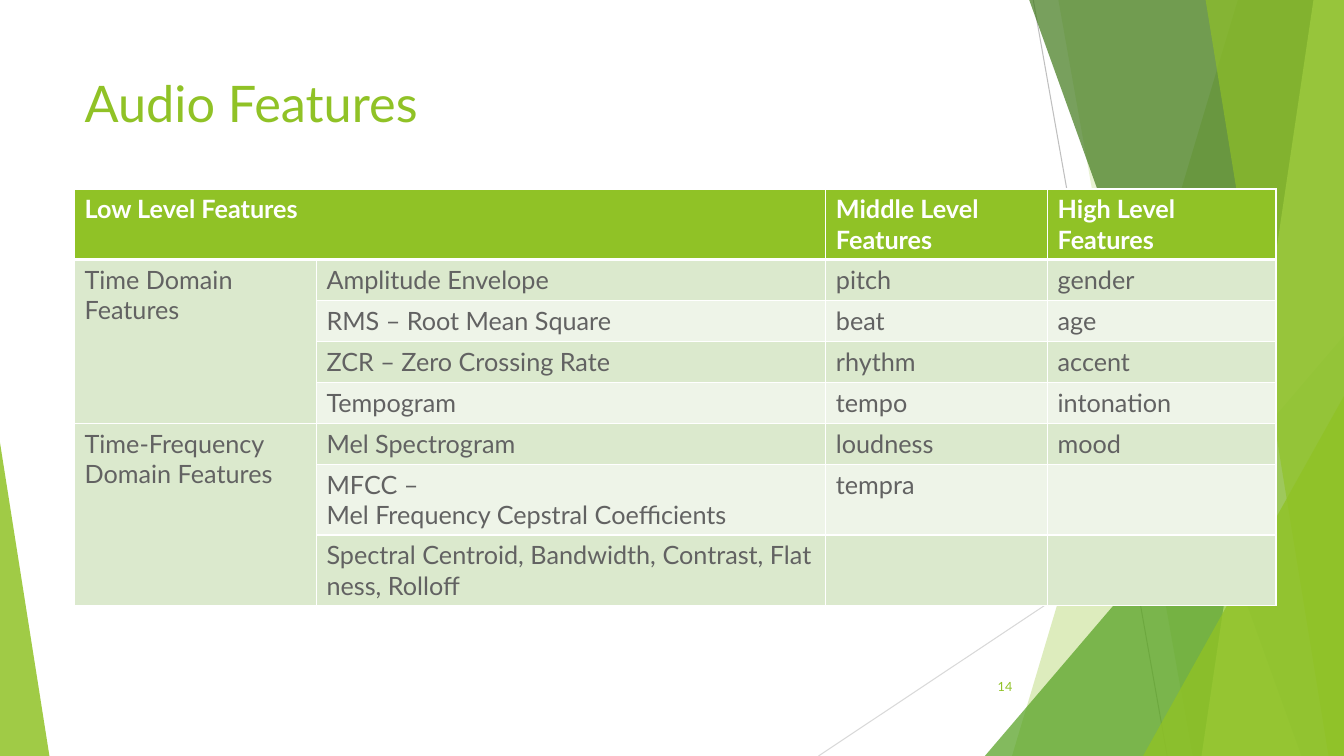
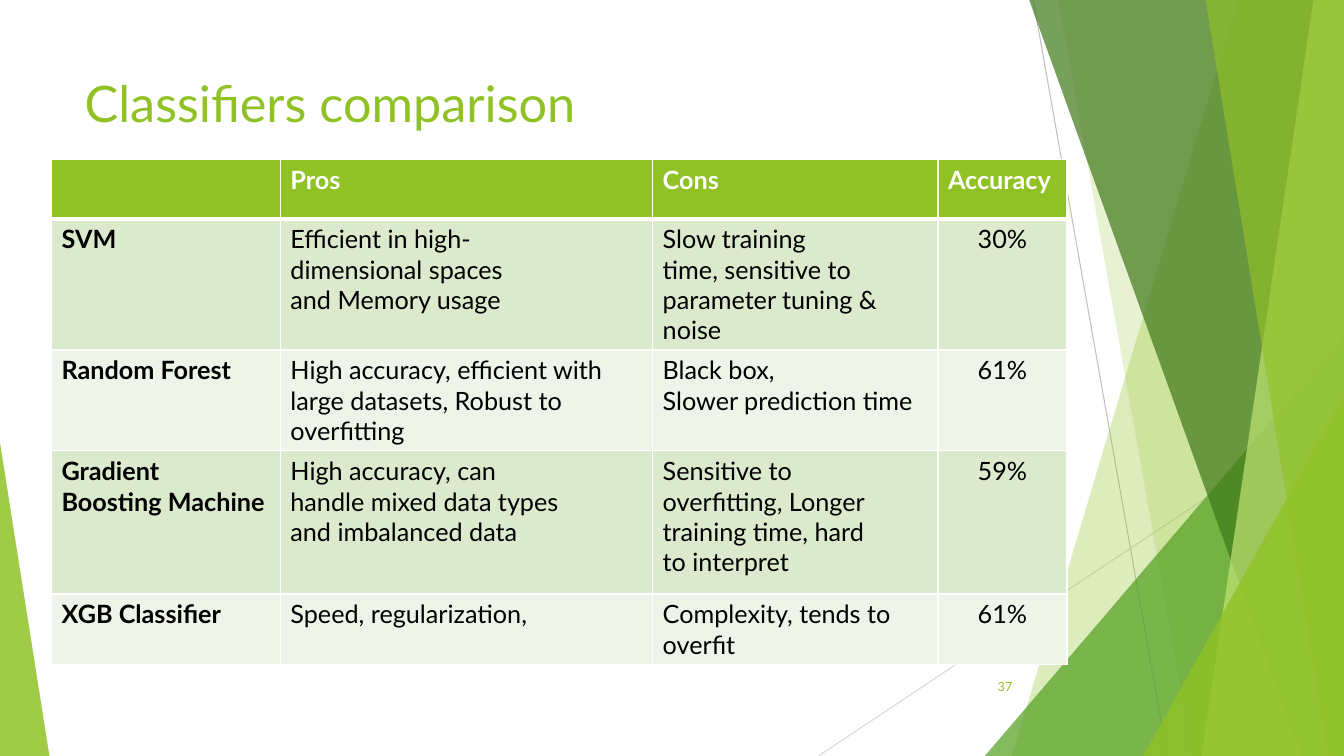
from lxml.etree import SubElement
from pptx import Presentation
from pptx.dml.color import RGBColor
from pptx.enum.shapes import MSO_CONNECTOR as Connector, MSO_SHAPE as Shape
from pptx.enum.text import MSO_ANCHOR as Anchor, MSO_AUTO_SIZE as AutoSize, PP_ALIGN as Align
from pptx.oxml.ns import qn
from pptx.util import Inches, Pt

WIDTH, HEIGHT = Inches(13.33), Inches(7.5)
FONT = "Lato"
GLUE, NO_BREAK_SPACE = "~", chr(160)
LIME = RGBColor(0x90, 0xC2, 0x26)
PALE_LIME = RGBColor(0xC0, 0xE4, 0x74)
GREEN = RGBColor(0x54, 0xA0, 0x21)
FOREST = RGBColor(0x3F, 0x78, 0x19)
SILVER = RGBColor(0xBF, 0xBF, 0xBF)
MIST = RGBColor(0xD9, 0xD9, 0xD9)
WHITE = RGBColor(0xFF, 0xFF, 0xFF)
BLACK = RGBColor(0, 0, 0)
GRAY = RGBColor(0x62, 0x62, 0x62)
BANDS = (RGBColor(0xEE, 0xF4, 0xE8), RGBColor(0xDB, 0xE9, 0xCD))

RAYS = [
    (76.88, 0, 86.85, 100, SILVER),
    (100, 53.73, 60.9, 100, MIST),
]
FACETS = [
    (92.1, 75.3, LIME, 30),
    (78.75, 88.73, LIME, 20),
    (73.28, 44.4, 26.72, 1, GREEN, 72),
    (76.58, 96.83, FOREST, 70),
    (97.73, 89.4, PALE_LIME, 70),
    (89.7, 98.85, LIME, 65),
    (85.05, 52.4, 14.95, 1, LIME, 80),
    (0, 58.53, 3.68, 0, LIME, 85),
]

FEATURES = [
    ["Low Level Features", "", "Middle Level Features", "High Level Features"],
    ["Time Domain Features", "Amplitude Envelope", "pitch", "gender"],
    ["", "RMS – Root Mean Square", "beat", "age"],
    ["", "ZCR – Zero Crossing Rate", "rhythm", "accent"],
    ["", "Tempogram", "tempo", "intonation"],
    ["Time-Frequency Domain Features", "Mel Spectrogram", "loudness", "mood"],
    ["", "MFCC – Mel~Frequency~Cepstral~Coefficients", "tempra", ""],
    ["", "Spectral~Centroid,~Bandwidth,~Contrast,~Flatness, Rolloff", "", ""],
]
CLASSIFIERS = [
    ["", "Pros", "Cons", "Accuracy"],
    ["SVM", "Efficient in high-dimensional~spaces and~Memory usage",
     "Slow training time,~sensitive~to parameter tuning & noise", "30%"],
    ["Random Forest", "High accuracy, efficient~with large datasets,~Robust to overfitting",
     "Black box, Slower~prediction time", "61%"],
    ["Gradient Boosting~Machine", "High accuracy, can handle~mixed data types and~imbalanced data",
     "Sensitive to overfitting,~Longer training time, hard to~interpret~", "59%"],
    ["XGB Classifier", "Speed, regularization,~", "Complexity, tends to overfit", "61%"],
]


def across(percent):
    return int(WIDTH * percent / 100)


def down(percent):
    return int(HEIGHT * percent / 100)


def style_text(text_frame, size, color, bold=False, align=Align.LEFT):
    for paragraph in text_frame.paragraphs:
        paragraph.alignment = align
        for run in paragraph.runs:
            run.font.name = FONT
            run.font.size = Pt(size)
            run.font.bold = bold
            run.font.color.rgb = color


def fill_translucent(shape, color, opacity):
    shape.shadow.inherit = False
    shape.line.fill.background()
    shape.fill.solid()
    shape.fill.fore_color.rgb = color
    color_element = shape.element.spPr.find(qn("a:solidFill"))[0]
    SubElement(color_element, qn("a:alpha"), val=str(opacity * 1000))


def add_ray(shapes, left, top, right, bottom, color):
    ray = shapes.add_connector(
        Connector.STRAIGHT, across(left), down(top), across(right), down(bottom))
    ray.line.color.rgb = color
    ray.line.width = Pt(0.75)
    SubElement(ray.element.spPr, qn("a:effectLst"))


def add_panel(shapes, top_left, bottom_left, color, opacity):
    builder = shapes.build_freeform(across(top_left), 0)
    builder.add_line_segments(
        [(WIDTH, 0), (WIDTH, HEIGHT), (across(bottom_left), HEIGHT)], close=True)
    fill_translucent(builder.convert_to_shape(), color, opacity)


def add_corner(shapes, left, top, width, apex, color, opacity):
    corner = shapes.add_shape(
        Shape.ISOSCELES_TRIANGLE, across(left), down(top), across(width), down(100 - top))
    corner.adjustments[0] = apex
    fill_translucent(corner, color, opacity)


def decorate_layout(layout, slide):
    group = slide.shapes.add_group_shape()
    for ray in RAYS:
        add_ray(group.shapes, *ray)
    for facet in FACETS:
        add_facet = add_panel if len(facet) == 4 else add_corner
        add_facet(group.shapes, *facet)
    layout.shapes.element.insert(2, group.element)


def add_titled_slide(presentation, layout, title, number):
    slide = presentation.slides.add_slide(layout)
    heading = slide.shapes.title
    heading.left, heading.top = across(5.55), down(8.93)
    heading.width, heading.height = across(70.5), down(10)
    heading.text_frame.text = title
    heading.text_frame.auto_size = AutoSize.NONE
    heading.text_frame.vertical_anchor = Anchor.TOP
    style_text(heading.text_frame, 36, LIME)

    footer = slide.shapes.add_textbox(across(70.43), down(88.13), across(5.63), down(5.33))
    footer.text_frame.word_wrap = True
    footer.text_frame.vertical_anchor = Anchor.MIDDLE
    footer.text_frame.text = str(number)
    style_text(footer.text_frame, 9, LIME, align=Align.RIGHT)
    return slide


def paint_cell(cell, color, bottom_width):
    properties = cell._tc.get_or_add_tcPr()
    for side, points in (("L", 1), ("R", 1), ("T", 1), ("B", bottom_width)):
        border = SubElement(properties, qn(f"a:ln{side}"), w=str(Pt(points)))
        SubElement(SubElement(border, qn("a:solidFill")), qn("a:srgbClr"), val=str(WHITE))
    cell.fill.solid()
    cell.fill.fore_color.rgb = color


def add_banded_table(slide, left, top, widths, heights, rows, color,
                     bold_first=False, center_last=False):
    table = slide.shapes.add_table(
        len(rows), len(widths), across(left), down(top),
        across(sum(widths)), down(sum(heights))).table
    for column, width in zip(table.columns, widths):
        column.width = across(width)
    for row, height in zip(table.rows, heights):
        row.height = down(height)
    for row_index, texts in enumerate(rows):
        header = row_index == 0
        for column_index, text in enumerate(texts):
            cell = table.cell(row_index, column_index)
            cell.text_frame.text = text.replace(GLUE, NO_BREAK_SPACE)
            centered = center_last and not header and column_index == len(widths) - 1
            style_text(cell.text_frame, 18, WHITE if header else color,
                       bold=header or (bold_first and column_index == 0),
                       align=Align.CENTER if centered else Align.LEFT)
            paint_cell(cell, LIME if header else BANDS[row_index % 2], 3 if header else 1)
    return table


def main():
    presentation = Presentation()
    presentation.slide_width, presentation.slide_height = WIDTH, HEIGHT
    layout = presentation.slide_layouts[5]

    features_slide = add_titled_slide(presentation, layout, "Audio Features", 14)
    decorate_layout(layout, features_slide)
    features = add_banded_table(
        features_slide, 5.55, 25, [18, 37.9, 16.5, 17], [5.42] * 8, FEATURES, GRAY)
    for first, last in (((0, 0), (0, 1)), ((1, 0), (4, 0)), ((5, 0), (7, 0))):
        features.cell(*first).merge(features.cell(*last))

    classifiers_slide = add_titled_slide(presentation, layout, "Classifiers comparison", 37)
    add_banded_table(
        classifiers_slide, 3.83, 21.07, [17.03, 27.7, 21.23, 9.6],
        [7.9, 7.9, 7.9, 18.93, 7.9], CLASSIFIERS, BLACK,
        bold_first=True, center_last=True)

    presentation.save("out.pptx")


if __name__ == "__main__":
    main()
